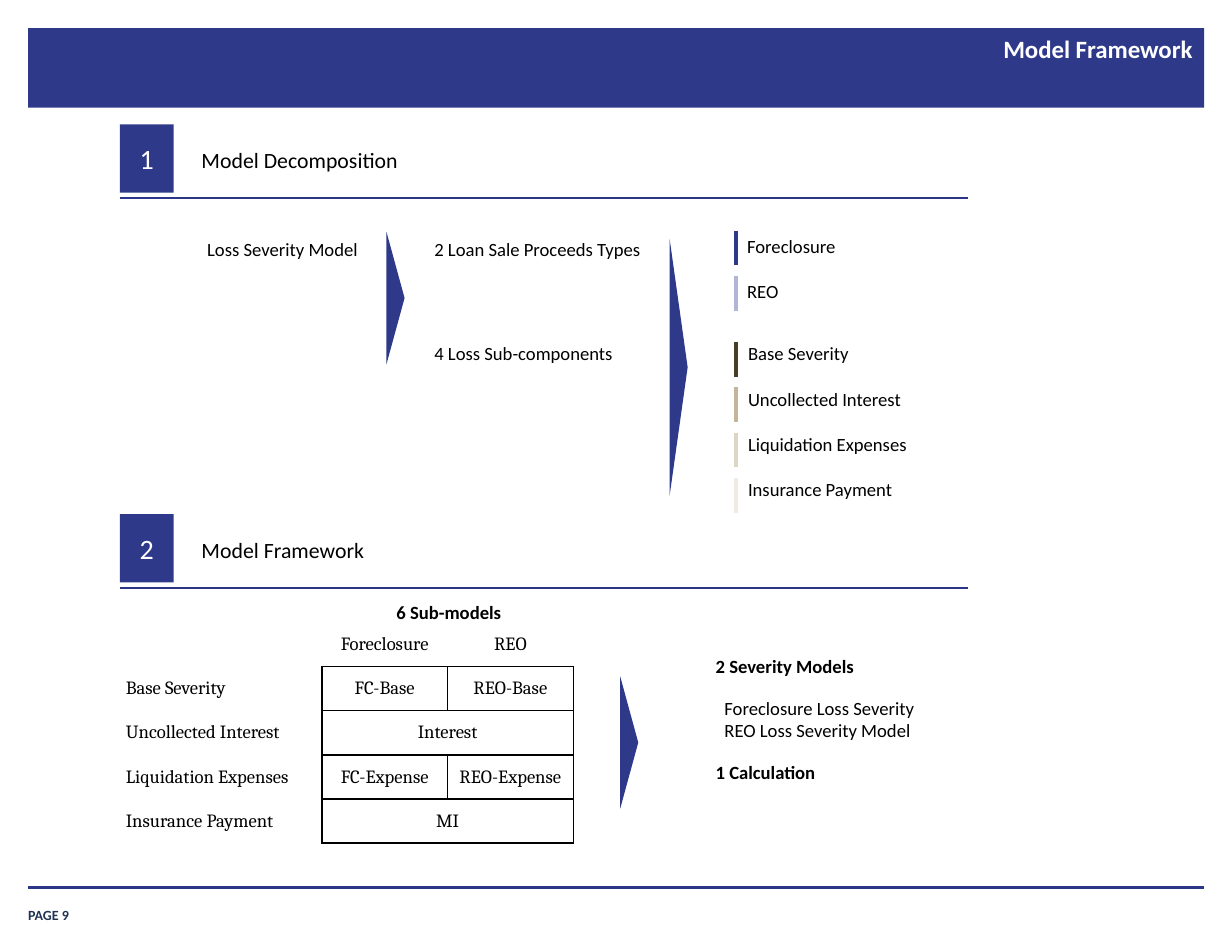
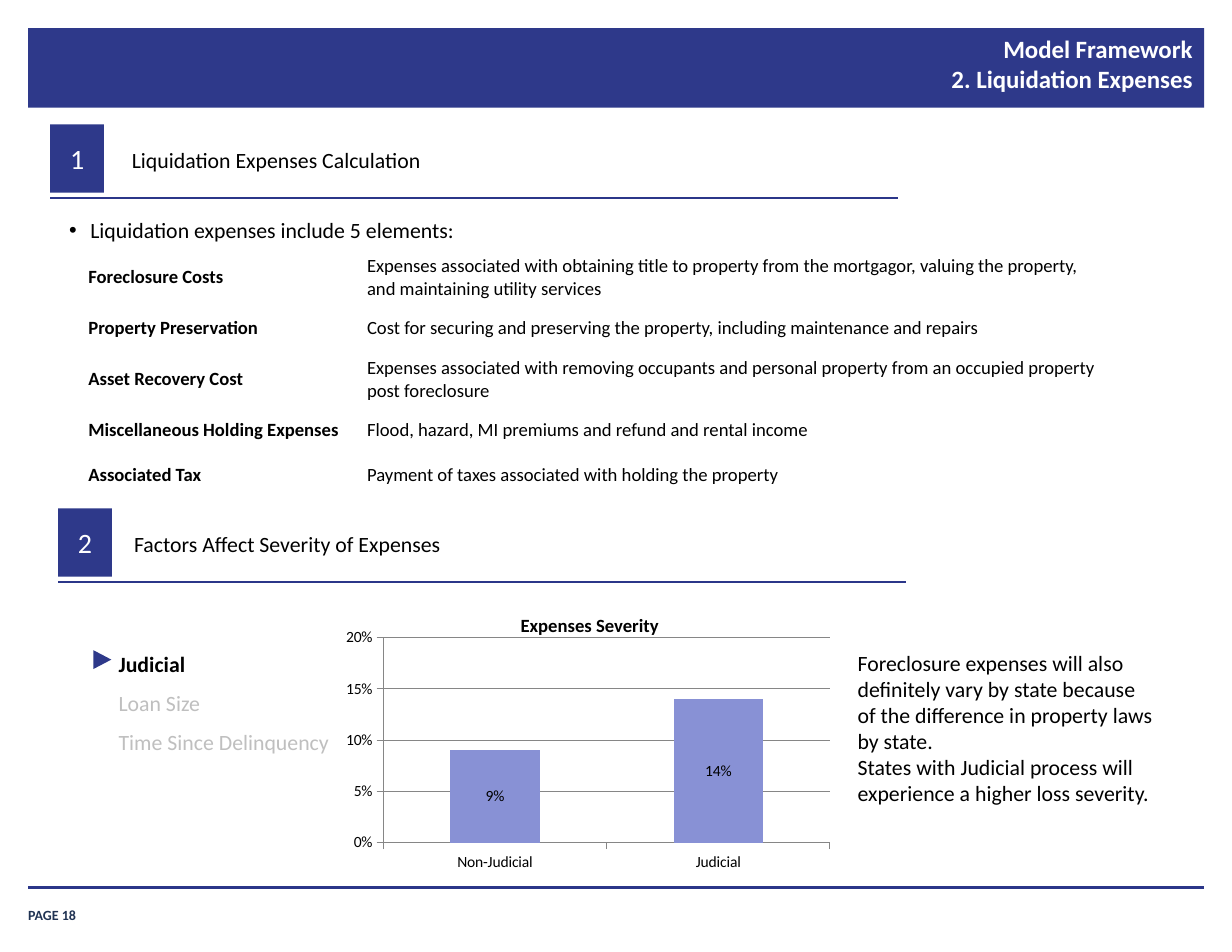
from lxml.etree import SubElement
from pptx import Presentation
from pptx.chart.data import CategoryChartData
from pptx.dml.color import RGBColor
from pptx.enum.chart import XL_CHART_TYPE, XL_LABEL_POSITION, XL_TICK_MARK
from pptx.enum.shapes import MSO_CONNECTOR, MSO_SHAPE
from pptx.enum.text import MSO_ANCHOR, PP_ALIGN
from pptx.oxml.ns import qn
from pptx.util import Cm, Pt

NAVY = RGBColor(0x2E, 0x39, 0x8A)
RULE_BLUE = RGBColor(0x2B, 0x36, 0x89)
PAGE_BLUE = RGBColor(0x20, 0x33, 0x53)
LAVENDER = RGBColor(0xB0, 0xB5, 0xDA)
PERIWINKLE = RGBColor(0x88, 0x91, 0xD5)
BROWN = RGBColor(0x49, 0x3E, 0x2B)
TAN = RGBColor(0xC4, 0xB5, 0x9B)
SAND = RGBColor(0xDE, 0xD5, 0xC7)
IVORY = RGBColor(0xEF, 0xEB, 0xE4)
FADED = RGBColor(0xBF, 0xBF, 0xBF)
GRID_GRAY = RGBColor(0x86, 0x86, 0x86)
BLACK = RGBColor(0, 0, 0)
WHITE = RGBColor(0xFF, 0xFF, 0xFF)
BODY_FONT = "Calibri"
MATRIX_FONT = "Cambria"
ROW_HEIGHT = 1.03


def add_paragraph(frame, text, size=12, color=BLACK, bold=False,
                  align=PP_ALIGN.LEFT, font=BODY_FONT, spacing=None):
    """Write one paragraph, using the empty first one when it is free."""
    para = frame.paragraphs[0]
    if para.runs:
        para = frame.add_paragraph()
    para.alignment = align
    if spacing:
        para.line_spacing = spacing
    span = para.add_run()
    span.text = text
    span.font.size = Pt(size)
    span.font.name = font
    span.font.bold = bold
    span.font.color.rgb = color
    return para


def add_text(page, left, top, width, height, lines, margins=None, **style):
    """Add a wrapped text box with one paragraph per line."""
    frame = page.shapes.add_textbox(Cm(left), Cm(top), Cm(width), Cm(height)).text_frame
    frame.word_wrap = True
    if margins:
        frame.margin_left = frame.margin_right = Cm(margins[0])
        frame.margin_top = frame.margin_bottom = Cm(margins[1])
    for line in lines:
        add_paragraph(frame, line, **style)
    return frame


def add_block(page, kind, left, top, width, height):
    """Add a plain navy preset shape."""
    block = page.shapes.add_shape(kind, Cm(left), Cm(top), Cm(width), Cm(height))
    block.shadow.inherit = False
    block.fill.solid()
    block.fill.fore_color.rgb = NAVY
    block.line.fill.background()
    return block


def add_arrow(page, center_x, center_y, length, depth=0.41):
    """Add a triangle that points right, centred on a point."""
    arrow = add_block(page, MSO_SHAPE.ISOSCELES_TRIANGLE, center_x - length / 2,
                      center_y - depth / 2, length, depth)
    arrow.rotation = 90


def add_line(page, start_x, start_y, end_x, end_y, color=RULE_BLUE, weight=1):
    """Add a straight line without a shadow."""
    line = page.shapes.add_connector(MSO_CONNECTOR.STRAIGHT, Cm(start_x), Cm(start_y),
                                     Cm(end_x), Cm(end_y))
    line.line.color.rgb = color
    line.line.width = Pt(weight)
    SubElement(line._element.spPr, qn("a:effectLst"))


def add_page(deck, title_lines, number):
    """Add a page with the title band and the footer."""
    page = deck.slides.add_slide(deck.slide_layouts[6])
    add_block(page, MSO_SHAPE.RECTANGLE, 0.64, 0.64, 26.67, 1.8)
    footer = add_text(page, 0.64, 20.37, 2.31, 0.58, [f"PAGE {number}"], margins=(0, 0),
                      size=9, color=PAGE_BLUE, bold=True)
    footer.vertical_anchor = MSO_ANCHOR.BOTTOM
    add_line(page, 0.64, 20.12, 27.31, 20.12, weight=2)
    add_text(page, 8.43, 0.61, 18.9, 1.88, title_lines, margins=(0.28, 0.15),
             size=16, color=WHITE, bold=True, align=PP_ALIGN.RIGHT)
    return page


def add_section(page, left, top, number, heading, indent=1.6):
    """Add a numbered section heading with its rule."""
    box = add_block(page, MSO_SHAPE.RECTANGLE, left, top, 1.22, 1.55)
    box.text_frame.vertical_anchor = MSO_ANCHOR.MIDDLE
    add_paragraph(box.text_frame, number, size=18, color=WHITE, align=PP_ALIGN.CENTER)
    add_line(page, left, top + 1.67, left + 19.23, top + 1.67)
    add_text(page, left + indent, top + 0.39, 11.3, 0.86, [heading], size=14)


def set_borders(cell, sides, color):
    """Draw one-point borders on the given sides, in L R T B order."""
    properties = cell._tc.get_or_add_tcPr()
    for side in sides:
        line = SubElement(properties, qn(f"a:ln{side}"), w=str(Pt(1)))
        fill = SubElement(line, qn("a:solidFill"))
        SubElement(fill, qn("a:srgbClr"), val=str(color))


def add_table(page, left, top, widths, row_height, row_count):
    """Add a table without banding or header style."""
    frame = page.shapes.add_table(row_count, len(widths), Cm(left), Cm(top),
                                  Cm(sum(widths)), Cm(row_height * row_count))
    table = frame.table
    table.first_row = table.horz_banding = False
    for column, width in zip(table.columns, widths):
        column.width = Cm(width)
    for row in table.rows:
        row.height = Cm(row_height)
    return table


def add_list_table(page, left, top, widths, rows):
    """Add a white table; the first of several columns is bold."""
    table = add_table(page, left, top, widths, ROW_HEIGHT, len(rows))
    for row_index, texts in enumerate(rows):
        for column_index, text in enumerate(texts):
            cell = table.cell(row_index, column_index)
            cell.vertical_anchor = MSO_ANCHOR.MIDDLE
            set_borders(cell, "LRTB", WHITE)
            cell.fill.solid()
            cell.fill.fore_color.rgb = WHITE
            add_paragraph(cell.text_frame, text, bold=len(texts) > 1 and column_index == 0)


def add_colored_list(page, table_left, table_top, bar_top, items):
    """Add a list with a coloured bar beside each entry."""
    add_list_table(page, table_left, table_top, [6.32], [[text] for text, _ in items])
    for index, (_, color) in enumerate(items):
        top = bar_top + index * ROW_HEIGHT
        add_line(page, 16.69, top, 16.69, top + 0.79, color, 3)


def add_matrix(page, left, top, rows):
    """Add the sub-model matrix; None joins a cell to its left neighbour."""
    table = add_table(page, left, top, [4.7, 2.85, 2.85], 1, len(rows))
    for row_index, texts in enumerate(rows):
        for column_index, text in enumerate(texts):
            cell = table.cell(row_index, column_index)
            cell.vertical_anchor = MSO_ANCHOR.MIDDLE
            cell.margin_top = cell.margin_bottom = Cm(0.03)
            if row_index and column_index:
                set_borders(cell, "LRTB", BLACK)
            elif row_index:
                set_borders(cell, "R", BLACK)
            elif column_index:
                set_borders(cell, "B", BLACK)
            cell.fill.background()
            if text is None:
                table.cell(row_index, column_index - 1).merge(cell)
            elif text:
                align = PP_ALIGN.CENTER if column_index else PP_ALIGN.LEFT
                add_paragraph(cell.text_frame, text, align=align, font=MATRIX_FONT)


def add_severity_chart(page, left, top, width, height, severities):
    """Add the column chart of expenses severity."""
    data = CategoryChartData(number_format="0%")
    data.categories = list(severities)
    data.add_series("Series 1", list(severities.values()))
    chart = page.shapes.add_chart(XL_CHART_TYPE.COLUMN_CLUSTERED, Cm(left), Cm(top),
                                  Cm(width), Cm(height), data).chart
    chart.has_legend = chart.has_title = False
    chart.font.name = BODY_FONT
    chart.font.size = Pt(10)
    chart.font.color.rgb = BLACK
    values = chart.value_axis
    values.minimum_scale, values.maximum_scale, values.major_unit = 0, 0.2, 0.05
    values.tick_labels.number_format = "0%"
    values.tick_labels.number_format_is_linked = False
    for axis in (values, chart.category_axis):
        axis.major_tick_mark = XL_TICK_MARK.OUTSIDE
        axis.minor_tick_mark = XL_TICK_MARK.NONE
        axis.format.line.color.rgb = GRID_GRAY
    values.major_gridlines.format.line.color.rgb = GRID_GRAY
    plot = chart.plots[0]
    plot.vary_by_categories = False
    plot.gap_width = 150
    series = plot.series[0]
    series.format.fill.solid()
    series.format.fill.fore_color.rgb = PERIWINKLE
    labels = series.data_labels
    labels.show_value = True
    labels.position = XL_LABEL_POSITION.CENTER
    labels.number_format = "0%"
    labels.number_format_is_linked = False


def add_bullet(para):
    """Give a paragraph a hanging round bullet."""
    properties = para._p.get_or_add_pPr()
    properties.set("marL", str(Cm(0.48)))
    properties.set("indent", str(-Cm(0.48)))
    SubElement(properties, qn("a:buFont"), typeface="Arial")
    SubElement(properties, qn("a:buChar"), char="•")


def build_framework(deck):
    """Build the page on decomposition and sub-models."""
    page = add_page(deck, ["Model Framework"], 9)
    add_section(page, 2.72, 2.82, "1", "Model Decomposition")
    add_text(page, 4.45, 5.28, 4.72, 0.76, ["Loss Severity Model"])
    add_text(page, 9.6, 5.26, 8.08, 0.76, ["2 Loan Sale Proceeds Types"])
    add_text(page, 9.6, 7.62, 8.08, 0.76, ["4 Loss Sub-components"])
    add_colored_list(page, 16.69, 5.08, 5.23, [("Foreclosure", NAVY), ("REO", LAVENDER)])
    add_colored_list(page, 16.71, 7.52, 7.75, [
        ("Base Severity", BROWN), ("Uncollected Interest", TAN),
        ("Liquidation Expenses", SAND), ("Insurance Payment", IVORY)])
    add_arrow(page, 8.97, 6.76, 3)
    add_arrow(page, 15.39, 8.33, 5.84)

    add_section(page, 2.72, 11.66, "2", "Model Framework")
    add_text(page, 7.32, 13.51, 5.72, 0.76, ["6 Sub-models"], bold=True,
             align=PP_ALIGN.CENTER)
    add_matrix(page, 2.6, 14.12, [
        ("", "Foreclosure", "REO"),
        ("Base Severity", "FC-Base", "REO-Base"),
        ("Uncollected Interest", "Interest", None),
        ("Liquidation Expenses", "FC-Expense", "REO-Expense"),
        ("Insurance Payment", "MI", None)])
    add_arrow(page, 14.27, 16.84, 3)
    add_text(page, 15.98, 14.73, 5.72, 0.76, ["2 Severity Models"], bold=True)
    add_text(page, 16.18, 15.67, 7.59, 1.27,
             ["Foreclosure Loss Severity", "REO Loss Severity Model"])
    add_text(page, 15.98, 17.12, 5.72, 0.76, ["1 Calculation"], bold=True)


def build_expenses(deck):
    """Build the page on liquidation expenses."""
    page = add_page(deck, ["Model Framework", "2. Liquidation Expenses"], 18)
    add_section(page, 1.14, 2.82, "1", "Liquidation Expenses Calculation")
    intro = add_text(page, 1.32, 4.5, 24.59, 1.07,
                     ["Liquidation expenses include 5 elements:"], size=14, spacing=1.5)
    add_bullet(intro.paragraphs[0])
    add_list_table(page, 1.75, 5.66, [6.32, 17.17], [
        ("Foreclosure Costs", "Expenses associated with obtaining title to property from "
         "the mortgagor, valuing the property, and maintaining utility services"),
        ("Property Preservation", "Cost for securing and preserving the property, "
         "including maintenance and repairs"),
        ("Asset Recovery Cost", "Expenses associated with removing occupants and personal "
         "property from an occupied property post foreclosure"),
        ("Miscellaneous Holding Expenses",
         "Flood, hazard, MI premiums and refund and rental income"),
        ("Associated Tax", "Payment of taxes associated with holding the property")])

    add_section(page, 1.32, 11.53, "2", "Factors Affect Severity of Expenses", indent=1.47)
    factors = add_text(page, 2.44, 14.33, 6.5, 2.95, ["Judicial"], size=14, bold=True,
                       spacing=1.5)
    for factor in ("Loan Size", "Time Since Delinquency"):
        add_paragraph(factors, factor, size=14, color=FADED, spacing=1.5)
    add_arrow(page, 2.32, 14.96, 0.43)
    add_severity_chart(page, 7.62, 14.15, 11.43, 5.72,
                       {"Non-Judicial": 0.09, "Judicial": 0.14})
    add_text(page, 10.16, 13.79, 6.43, 0.76, ["Expenses Severity"], bold=True,
             align=PP_ALIGN.CENTER)
    add_text(page, 19.2, 14.6, 7.32, 3.84, [
        "Foreclosure expenses will also definitely vary by state because of the "
        "difference in property laws by state.",
        "States with Judicial process will experience a higher loss severity."], size=14)


def main():
    """Build and save the deck."""
    deck = Presentation()
    deck.slide_width, deck.slide_height = Cm(27.94), Cm(21.59)
    build_framework(deck)
    build_expenses(deck)
    deck.save("out.pptx")


if __name__ == "__main__":
    main()
